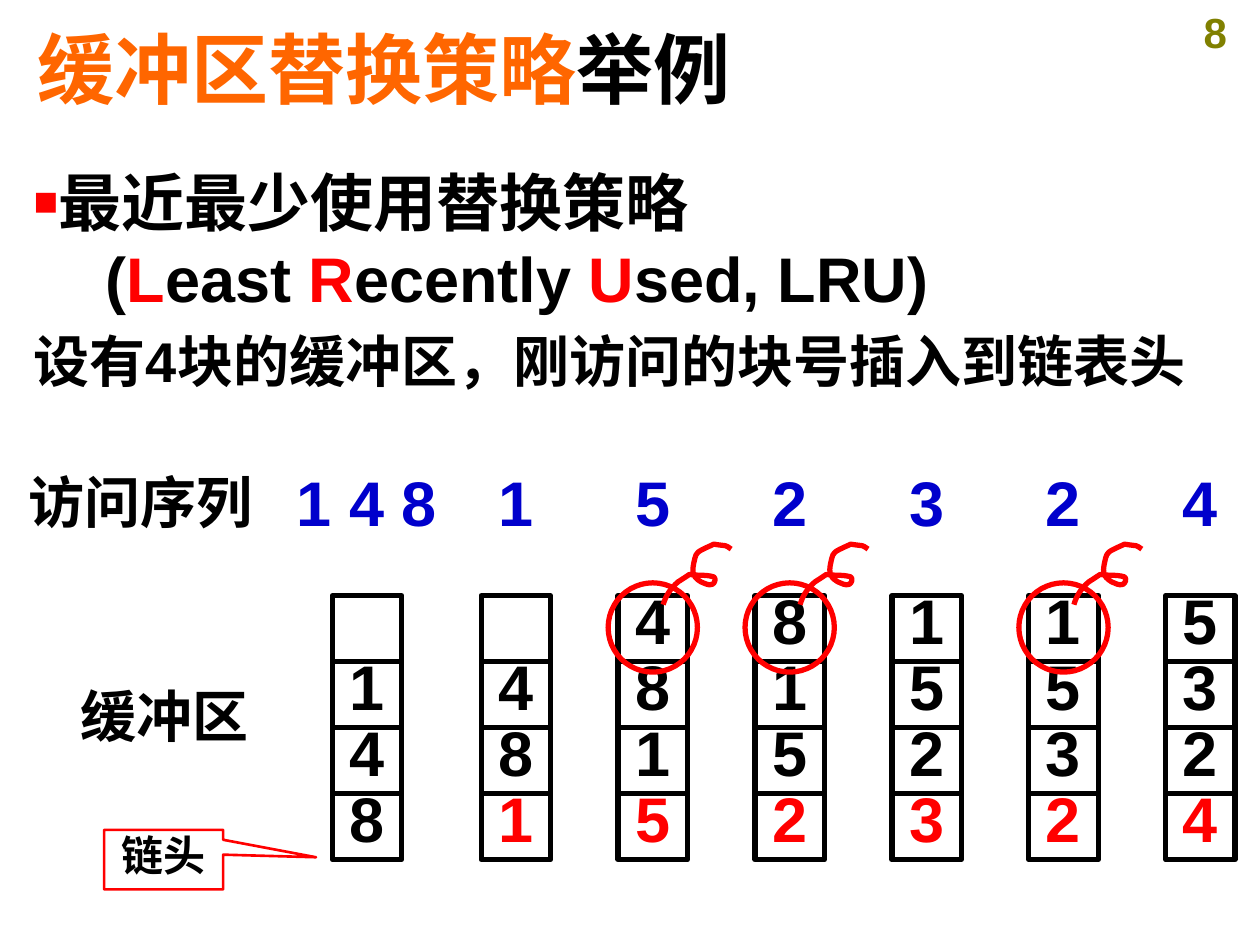
from lxml.etree import SubElement
from pptx import Presentation
from pptx.dml.color import RGBColor
from pptx.enum.shapes import MSO_SHAPE as Preset
from pptx.enum.text import MSO_ANCHOR as Anchor, PP_ALIGN as Align
from pptx.oxml.ns import qn
from pptx.util import Cm, Pt

COLORS = {
    "ink": "000000",
    "accent": "FF0000",
    "title": "FF6600",
    "access": "0000CC",
    "page": "808000",
}

TIGHT = {"margin_left": 0, "margin_top": 0, "margin_right": 0, "margin_bottom": 0,
         "word_wrap": True, "vertical_anchor": Anchor.TOP}
PADDED = {"margin_left": Cm(0.25), "margin_top": Cm(0.13), "margin_right": Cm(0.25),
          "margin_bottom": Cm(0.13), "word_wrap": True, "vertical_anchor": Anchor.TOP}

COLUMN_PITCH = 2.76
CELL_WIDTH, CELL_HEIGHT = 1.4, 1.33
RING_SIZE = 1.8

HISTORY = [
    (6.7, "1 4 8", ["", "1", "4", "8"], False),
    (9.7, "1", ["", "4", "8", "1"], False),
    (9.7 + COLUMN_PITCH, "5", ["4", "8", "1", "5"], True),
    (9.7 + 2 * COLUMN_PITCH, "2", ["8", "1", "5", "2"], True),
    (9.7 + 3 * COLUMN_PITCH, "3", ["1", "5", "2", "3"], False),
    (9.7 + 4 * COLUMN_PITCH, "2", ["1", "5", "3", "2"], True),
    (9.7 + 5 * COLUMN_PITCH, "4", ["5", "3", "2", "4"], False),
]

CURL_START = (0, 1.22)
CURL_CURVES = [
    ((0.05, 1.04), (0.15, 0.89), (0.3, 0.76)),
    ((0.38, 0.71), (0.53, 0.61), (0.53, 0.61)),
    ((0.69, 0.64), (0.86, 0.61), (1.02, 0.66)),
    ((1.07, 0.69), (1.04, 0.79), (0.99, 0.81)),
    ((0.91, 0.84), (0.84, 0.79), (0.76, 0.76)),
    ((0.56, 0.64), (0.58, 0.53), (0.64, 0.28)),
    ((0.66, 0.23), (0.66, 0.2), (0.69, 0.18)),
    ((0.71, 0.13), (0.97, 0.03), (1.02, 0)),
    ((1.32, 0.05), (1.22, 0), (1.37, 0.1)),
]


def apply_format(target, values):
    for name, value in values.items():
        setattr(target, name, value)


def write_runs(paragraph, runs, size, **layout):
    apply_format(paragraph, layout)
    for words, color in runs:
        run = paragraph.add_run()
        run.text = words
        apply_format(run.font, {"name": "Arial", "size": Pt(size), "bold": True})
        run.font.color.rgb = RGBColor.from_string(COLORS[color])


def add_text(shapes, box, runs, size, frame_format=TIGHT, **layout):
    frame = shapes.add_textbox(*map(Cm, box)).text_frame
    apply_format(frame, frame_format)
    write_runs(frame.paragraphs[0], runs, size, **layout)
    return frame


def outline(shape, color, width):
    shape.shadow.inherit = False
    shape.fill.background()
    shape.line.color.rgb = RGBColor.from_string(COLORS[color])
    shape.line.width = Pt(width)


def add_outlined(shapes, preset, box, color, width):
    shape = shapes.add_shape(preset, *map(Cm, box))
    outline(shape, color, width)
    apply_format(shape.text_frame, TIGHT)
    return shape


def add_heading(slide, box):
    add_text(slide.shapes, box, [("缓冲区替换策略", "title"), ("举例", "ink")], 44,
             {**PADDED, "vertical_anchor": Anchor.MIDDLE})


def add_page_number(slide, box):
    add_text(slide.shapes, box, [("8", "page")], 24, PADDED, alignment=Align.CENTER)


def add_policy(slide, box):
    frame = add_text(slide.shapes, box, [], 36, PADDED)
    name = frame.paragraphs[0]
    properties = name._p.get_or_add_pPr()
    bullet_color = SubElement(properties, qn("a:buClr"))
    SubElement(bullet_color, qn("a:srgbClr"), val=COLORS["accent"])
    SubElement(properties, qn("a:buSzPct"), val="65000")
    SubElement(properties, qn("a:buFont"), typeface="Arial")
    SubElement(properties, qn("a:buChar"), char="■")
    write_runs(name, [("最近最少使用替换策略", "ink")], 36)

    english = frame.add_paragraph()
    english._p.get_or_add_pPr().set("marL", str(Cm(1.45)))
    write_runs(english, [("(", "ink"), ("L", "accent"), ("east ", "ink"),
                         ("R", "accent"), ("ecently ", "ink"),
                         ("U", "accent"), ("sed, LRU)", "ink")], 36)
    write_runs(frame.add_paragraph(), [("设有4块的缓冲区，刚访问的块号插入到链表头", "ink")],
               32, space_before=Pt(6.4))


def add_access_sequence(slide, top):
    row = slide.shapes.add_group_shape().shapes
    add_text(row, (0.3, top + 0.08, 4.8, 1.35), [("访问序列", "ink")], 32,
             alignment=Align.RIGHT)
    for left, access, _, _ in HISTORY:
        width = CELL_WIDTH if len(access) == 1 else 3.4
        add_text(row, (left + (CELL_WIDTH - width) / 2, top, width, 1.52),
                 [(access, "access")], 36, alignment=Align.CENTER)


def add_buffer(slide, left, top, blocks, head_color):
    cells = slide.shapes.add_group_shape().shapes
    for row, block in enumerate(blocks):
        cell = add_outlined(cells, Preset.RECTANGLE,
                            (left, top + row * CELL_HEIGHT, CELL_WIDTH, CELL_HEIGHT), "ink", 3)
        if block:
            color = head_color if row == len(blocks) - 1 else "ink"
            write_runs(cell.text_frame.paragraphs[0], [(block, color)], 36,
                       alignment=Align.CENTER, line_spacing=0.8)


def add_curl(shapes, left, top):
    ends = [(Cm(left + x), Cm(top + y)) for _, _, (x, y) in CURL_CURVES]
    builder = shapes.build_freeform(Cm(left + CURL_START[0]), Cm(top + CURL_START[1]))
    builder.add_line_segments(ends, close=False)
    curl = builder.convert_to_shape()
    for segment, curve in zip(list(curl._element.iter(qn("a:lnTo"))), CURL_CURVES):
        segment.clear()
        bend = SubElement(segment.getparent(), qn("a:cubicBezTo"))
        segment.getparent().replace(segment, bend)
        for x, y in curve:
            SubElement(bend, qn("a:pt"), x=str(Cm(x)), y=str(Cm(y)))
    outline(curl, "accent", 3)


def add_eviction(slide, left, top):
    mark = slide.shapes.add_group_shape().shapes
    add_outlined(mark, Preset.OVAL, (left, top, RING_SIZE, RING_SIZE), "accent", 3)
    add_curl(mark, left + 1.11, top - 0.78)


def add_buffers(slide, top):
    add_text(slide.shapes, (0.41, top + 1.73, 4.6, 1.35), [("缓冲区", "ink")], 32,
             alignment=Align.RIGHT)
    for index, (left, _, blocks, _) in enumerate(HISTORY):
        add_buffer(slide, left, top, blocks, "accent" if index else "ink")
    for left, _, _, evicts in HISTORY:
        if evicts:
            add_eviction(slide, left + (CELL_WIDTH - RING_SIZE) / 2, top - 0.26)


def add_head_callout(slide, box):
    callout = add_outlined(slide.shapes, Preset.RECTANGULAR_CALLOUT, box, "accent", 1.5)
    callout.adjustments[0] = 1.28
    callout.adjustments[1] = -0.04
    write_runs(callout.text_frame.paragraphs[0], [("链头", "ink")], 24,
               alignment=Align.CENTER)


def main():
    deck = Presentation()
    apply_format(deck, {"slide_width": Cm(25.4), "slide_height": Cm(19.05)})
    slide = deck.slides.add_slide(deck.slide_layouts[6])
    add_page_number(slide, (23.6, 0, 1.8, 1.27))
    add_policy(slide, (0.43, 3.17, 24.97, 14.65))
    add_heading(slide, (0.5, 0.4, 24.05, 1.93))
    add_access_sequence(slide, 9.35)
    add_buffers(slide, 12.01)
    add_head_callout(slide, (2.1, 16.73, 2.4, 1.2))
    deck.save("out.pptx")


if __name__ == "__main__":
    main()
